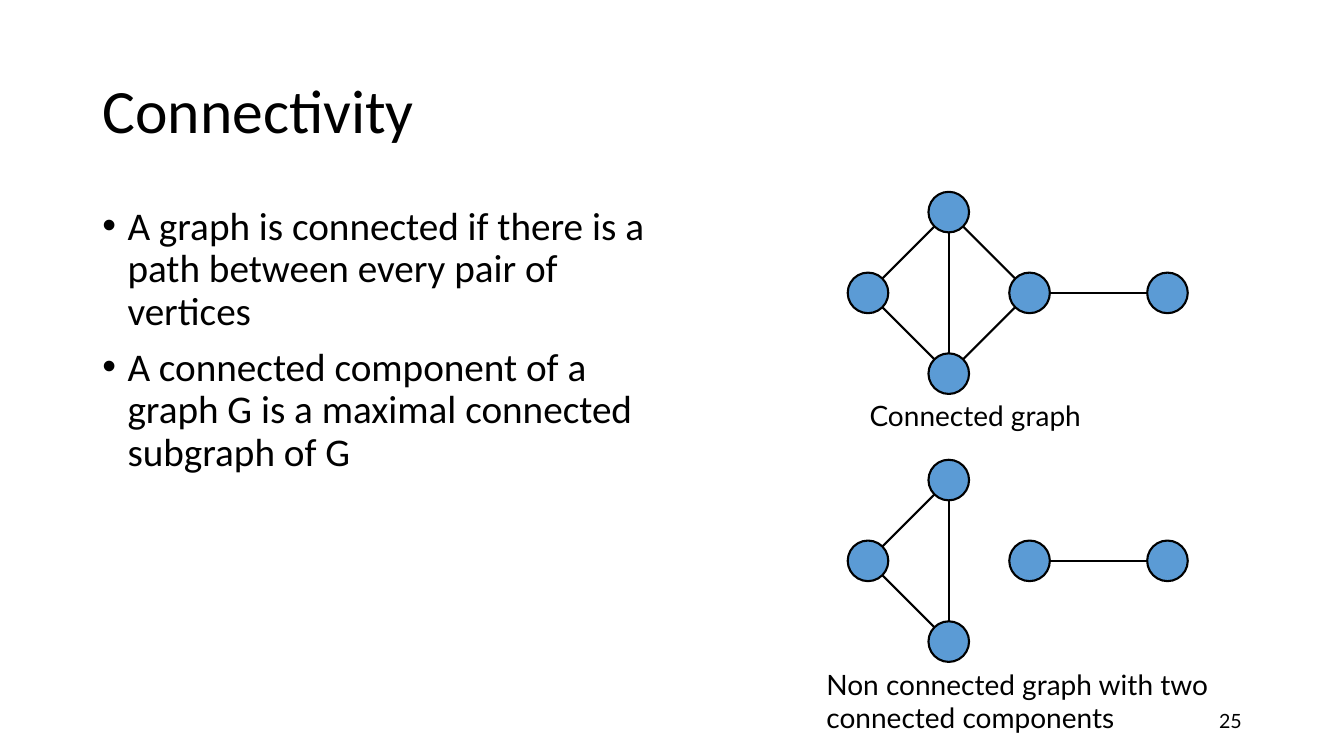
import math
from dataclasses import dataclass

import pptx
import pptx.dml.color
import pptx.enum.shapes
import pptx.enum.text
import pptx.oxml.ns
import pptx.shapes.group
import pptx.slide
import pptx.text.text
import pptx.util
from lxml import etree

Pt = pptx.util.Pt
Align = pptx.enum.text.PP_ALIGN
Anchor = pptx.enum.text.MSO_ANCHOR
BLACK = pptx.dml.color.RGBColor(0x00, 0x00, 0x00)
BLUE = pptx.dml.color.RGBColor(0x5B, 0x9B, 0xD5)
WHITE = pptx.dml.color.RGBColor(0xFF, 0xFF, 0xFF)

# Node layout, in points: a diamond with a tail
RADIUS = 14.5
STEP = 57.7
LEFT = 620
TAIL = 98.5
NODES = {
    "left": (0, 0),
    "top": (STEP, -STEP),
    "low": (STEP, STEP),
    "right": (2 * STEP, 0),
    "far": (2 * STEP + TAIL, 0),
}
SPLIT = [("top", "left"), ("low", "left"), ("top", "low"), ("right", "far")]
JOINED = SPLIT + [("low", "right"), ("top", "right")]


@dataclass
class Label:
    text: str
    box: tuple[float, float, float, float]
    size: float = 20
    align: Align = Align.LEFT
    anchor: Anchor = Anchor.TOP


@dataclass
class Graph:
    mid: float
    edges: list[tuple[str, str]]
    label: Label


GRAPHS = [
    Graph(209.2, JOINED, Label("Connected graph", (614, 281, 224.6, 31))),
    Graph(400.6, SPLIT, Label("Non connected graph with two connected components",
                              (583.2, 473, 287.3, 55.4))),
]
NUMBER = Label("25", (678.2, 500.4, 216, 28.8), 14, Align.RIGHT, Anchor.MIDDLE)
POINTS = [
    "A graph is connected if there is a path between every pair of vertices",
    "A connected component of a graph G is a maximal connected subgraph of G",
]


def add_run(para: pptx.text.text._Paragraph, text: str, size: float, face: str) -> None:
    run = para.add_run()
    run.text = text
    run.font.size = Pt(size)
    run.font.name = face
    run.font.color.rgb = BLACK


def add_label(slide: pptx.slide.Slide, label: Label) -> None:
    frame = slide.shapes.add_textbox(*map(Pt, label.box)).text_frame
    frame.word_wrap = True
    frame.vertical_anchor = label.anchor
    para = frame.paragraphs[0]
    para.alignment = label.align
    add_run(para, label.text, label.size, "Lato")


def add_title(slide: pptx.slide.Slide) -> None:
    title = slide.shapes.title
    title.left, title.top, title.width, title.height = map(Pt, (66, 28.8, 828, 104.4))
    frame = title.text_frame
    frame.word_wrap = True
    frame.auto_size = pptx.enum.text.MSO_AUTO_SIZE.NONE
    frame.vertical_anchor = Anchor.MIDDLE
    para = frame.paragraphs[0]
    para.alignment = Align.LEFT
    para.line_spacing = 0.9
    add_run(para, "Connectivity", 44, "Calibri")


def add_points(slide: pptx.slide.Slide) -> None:
    frame = slide.shapes.add_textbox(Pt(66), Pt(144), Pt(408), Pt(342.7)).text_frame
    frame.word_wrap = True
    for i, text in enumerate(POINTS):
        para = frame.paragraphs[0] if i == 0 else frame.add_paragraph()
        para.line_spacing = 0.9
        para.space_before = Pt(10 if i else 0)
        props = para._p.get_or_add_pPr()
        props.set("marL", str(Pt(18)))
        props.set("indent", str(Pt(-18)))
        font = etree.SubElement(props, pptx.oxml.ns.qn("a:buFont"))
        font.set("typeface", "Arial")
        mark = etree.SubElement(props, pptx.oxml.ns.qn("a:buChar"))
        mark.set("char", "•")
        add_run(para, text, 28, "Calibri")


def add_node(group: pptx.shapes.group.GroupShape, x: float, y: float) -> None:
    node = group.shapes.add_shape(
        pptx.enum.shapes.MSO_SHAPE.OVAL,
        Pt(x - RADIUS), Pt(y - RADIUS), Pt(2 * RADIUS), Pt(2 * RADIUS))
    node.shadow.inherit = False
    node.fill.solid()
    node.fill.fore_color.rgb = BLUE
    node.line.color.rgb = BLACK
    node.line.width = Pt(1.5)


def add_edge(group: pptx.shapes.group.GroupShape,
             start: tuple[float, float], end: tuple[float, float]) -> None:
    # Trim both ends to the rims of the nodes
    scale = RADIUS / math.dist(start, end)
    dx, dy = (scale * (b - a) for a, b in zip(start, end))
    edge = group.shapes.add_connector(
        pptx.enum.shapes.MSO_CONNECTOR.STRAIGHT,
        Pt(start[0] + dx), Pt(start[1] + dy), Pt(end[0] - dx), Pt(end[1] - dy))
    edge.line.color.rgb = BLACK
    edge.line.width = Pt(1.5)
    etree.SubElement(edge._element.spPr, pptx.oxml.ns.qn("a:effectLst"))


def add_graph(slide: pptx.slide.Slide, graph: Graph) -> None:
    group = slide.shapes.add_group_shape()
    spots = {name: (LEFT + x, graph.mid + y) for name, (x, y) in NODES.items()}
    for x, y in spots.values():
        add_node(group, x, y)
    for start, end in graph.edges:
        add_edge(group, spots[start], spots[end])
    add_label(slide, graph.label)


def main() -> None:
    deck = pptx.Presentation()
    deck.slide_width, deck.slide_height = Pt(960), Pt(540)
    slide = deck.slides.add_slide(deck.slide_layouts.get_by_name("Title Only"))
    slide.background.fill.solid()
    slide.background.fill.fore_color.rgb = WHITE

    # Text
    add_title(slide)
    add_points(slide)
    add_label(slide, NUMBER)

    # Graphs
    for graph in GRAPHS:
        add_graph(slide, graph)
    deck.save("out.pptx")


if __name__ == "__main__":
    main()
